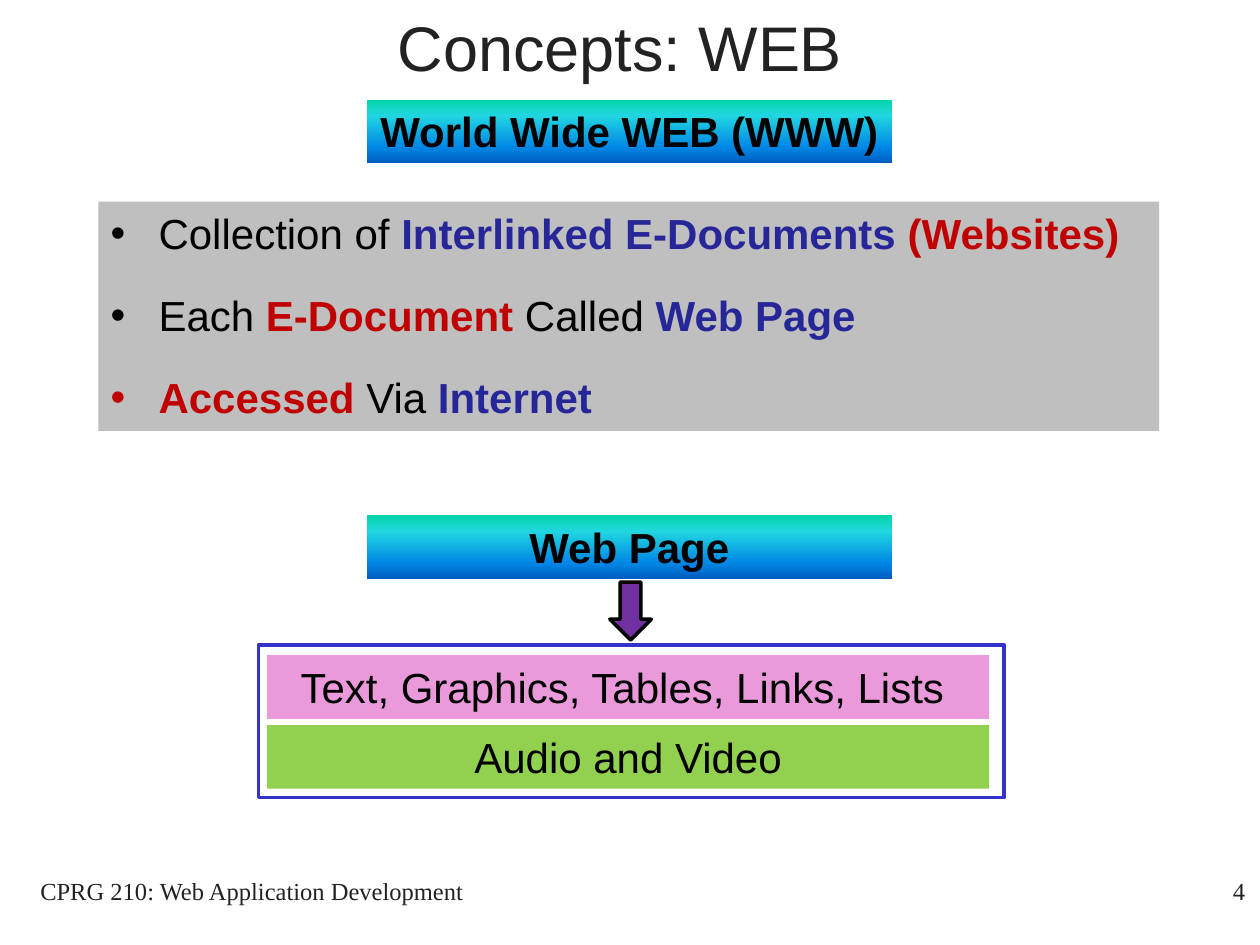
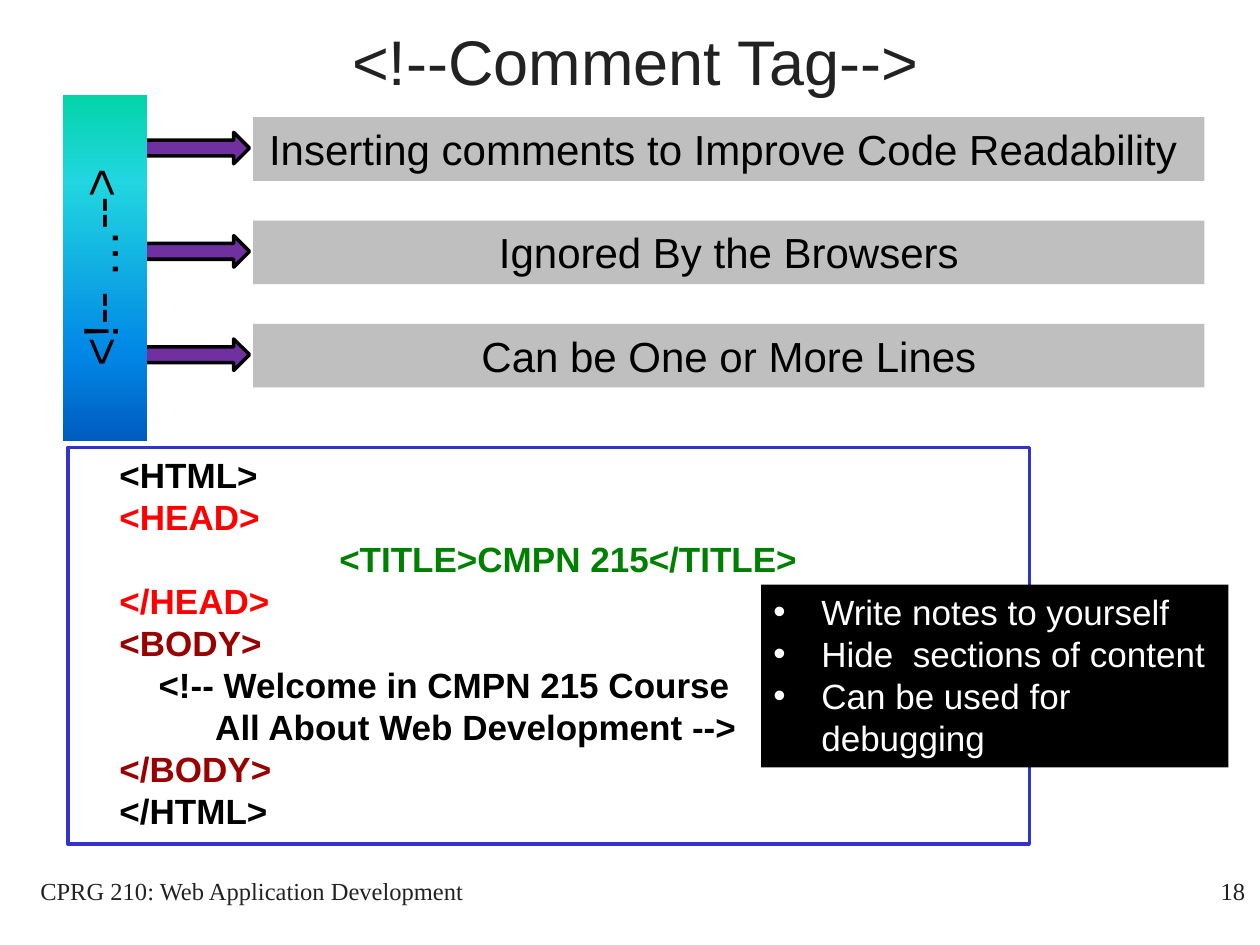
from dataclasses import dataclass, field
from typing import NamedTuple, Optional

from lxml.etree import SubElement
from pptx import Presentation
from pptx.dml.color import RGBColor
from pptx.enum.shapes import MSO_SHAPE
from pptx.enum.text import MSO_ANCHOR, PP_ALIGN
from pptx.oxml.ns import qn
from pptx.util import Emu, Inches, Pt

COLORS = {
    "title": "222222", "black": "000000", "white": "FFFFFF", "grey": "BFBFBF",
    "navy": "262699", "crimson": "C00000", "pink": "EA9ADB", "lime": "92D050",
    "frame": "3333CC", "purple": "7030A0", "red": "FF0000", "green": "008000",
    "maroon": "990000",
}
HEADING_STOPS = {0: "03D4A8", 25: "21D6E0", 75: "0087E6", 100: "005CBF"}
GRADIENT = "gradient"
UNIT = Inches(0.1)  # the slide is a grid of 100 columns and 75 rows
COLUMNS, ROWS = 100, 75
LINE_HEIGHT = 1.2
FOOTER = "CPRG 210: Web Application Development"


class Cell(NamedTuple):
    col: float
    row: float
    cols: float
    rows: float

    def emu(self) -> list[Emu]:
        return [Emu(round(v * UNIT)) for v in self]


class Run(NamedTuple):
    text: str
    color: str = "black"
    bold: bool = False


@dataclass
class Para:
    runs: list[Run]
    align: PP_ALIGN = PP_ALIGN.CENTER
    margin: float = 0
    bullet: bool = False
    after: float = 0


@dataclass
class Box:
    cell: Cell
    paras: list[Para] = field(default_factory=list)
    fill: Optional[str] = None
    line: Optional[str] = None
    size: float = 24
    font: str = "Arial"
    anchor: MSO_ANCHOR = MSO_ANCHOR.TOP
    shape: MSO_SHAPE = MSO_SHAPE.RECTANGLE
    upward: bool = False


def rgb(name: str) -> RGBColor:
    return RGBColor.from_string(COLORS[name])


def set_all(target, values: dict) -> None:
    for name, value in values.items():
        setattr(target, name, value)


def fill_gradient(sp) -> None:
    sp.fill.gradient()
    sp.fill.gradient_angle = 270
    stops = sp._element.spPr.find(qn("a:gradFill")).find(qn("a:gsLst"))
    for old in list(stops):
        stops.remove(old)
    for pos, color in HEADING_STOPS.items():
        stop = SubElement(stops, qn("a:gs"), pos=str(pos * 1000))
        SubElement(stop, qn("a:srgbClr"), val=color)


def paint(sp, box: Box) -> None:
    sp.shadow.inherit = False
    if box.fill == GRADIENT:
        fill_gradient(sp)
    elif box.fill:
        sp.fill.solid()
        sp.fill.fore_color.rgb = rgb(box.fill)
    else:
        sp.fill.background()
    if box.line:
        sp.line.color.rgb = rgb(box.line)
        sp.line.width = Pt(2)
    else:
        sp.line.fill.background()


def indent(p, para: Para) -> None:
    """Set the left margin; a bullet hangs back to the edge of the text."""
    pPr = p._p.get_or_add_pPr()
    margin = Inches(para.margin)
    pPr.set("marL", str(margin))
    pPr.set("indent", str(-margin if para.bullet else 0))
    if para.bullet:
        SubElement(pPr, qn("a:buFont"), typeface="Arial")
        SubElement(pPr, qn("a:buChar"), char="•")


def write(tf, box: Box) -> None:
    set_all(tf, {"word_wrap": True, "vertical_anchor": box.anchor})
    if box.upward:
        tf._txBody.bodyPr.set("vert", "vert270")
    for i, para in enumerate(box.paras):
        p = tf.add_paragraph() if i else tf.paragraphs[0]
        set_all(p, {"alignment": para.align, "space_after": Pt(para.after),
                    "line_spacing": Pt(box.size * LINE_HEIGHT)})
        indent(p, para)
        for run in para.runs:
            r = p.add_run()
            r.text = run.text
            set_all(r.font, {"name": box.font, "size": Pt(box.size), "bold": run.bold})
            r.font.color.rgb = rgb(run.color)


def draw(s, box: Box) -> None:
    if box.fill or box.line:
        sp = s.shapes.add_shape(box.shape, *box.cell.emu())
        paint(sp, box)
    else:
        sp = s.shapes.add_textbox(*box.cell.emu())
    if box.paras:
        write(sp.text_frame, box)


def label(cell: Cell, text: str, fill: str, bold: bool = False, **style) -> Box:
    return Box(cell, [Para([Run(text, bold=bold)])], fill, **style)


def arrow(cell: Cell, shape: MSO_SHAPE) -> Box:
    return Box(cell, fill="purple", line="black", shape=shape)


def bullets(lines: list[list[Run]], after: float = 0) -> list[Para]:
    return [Para(runs, PP_ALIGN.LEFT, 0.38, True, after) for runs in lines]


def code_line(text: str, color: str = "black", margin: float = 0.31,
              align: PP_ALIGN = PP_ALIGN.LEFT) -> Para:
    return Para([Run(text, color, True)], align, margin)


def add_slide(prs, title: str, title_cell: Cell, number: int, boxes: list[Box]) -> None:
    s = prs.slides.add_slide(prs.slide_layouts[6])
    footer_style = {"size": 14, "font": "Times New Roman"}
    furniture = [
        Box(title_cell, [Para([Run(title, "title")])], size=36, anchor=MSO_ANCHOR.MIDDLE),
        Box(Cell(79, 69, 20.8, 5), [Para([Run(str(number), "title")], PP_ALIGN.RIGHT)],
            **footer_style),
        Box(Cell(0, 69, 40, 5), [Para([Run(FOOTER, "title")])], **footer_style),
    ]
    for box in furniture + boxes:
        draw(s, box)


def web_boxes() -> list[Box]:
    headings = [
        label(Cell(29.1, row, 41.7, 5.05), text, GRADIENT, bold=True)
        for row, text in ((7.9, "World Wide WEB (WWW)"), (40.9, "Web Page"))
    ]
    contents = [
        label(Cell(21.2, 52 + 5.55 * i, 57.3, 5.05), text, fill)
        for i, (text, fill) in enumerate((
            ("Text, Graphics, Tables, Links, Lists ", "pink"),
            ("Audio and Video", "lime")))
    ]
    facts = [
        [Run("Collection of "), Run("Interlinked E-Documents ", "navy", True),
         Run("(Websites)", "crimson", True)],
        [Run("Each "), Run("E-Document", "crimson", True), Run(" Called "),
         Run("Web Page", "navy", True)],
        [Run("Accessed", "crimson", True), Run(" Via "), Run("Internet", "navy", True)],
    ]
    return headings + contents + [
        Box(Cell(7.8, 16, 84.2, 18.2), bullets(facts, after=18), "grey"),
        Box(Cell(20.5, 51.2, 59.2, 12.1), line="frame"),
        arrow(Cell(48.4, 46.2, 3.3, 4.6), MSO_SHAPE.DOWN_ARROW),
    ]


def comment_boxes() -> list[Box]:
    code = [
        code_line("<HTML>"),
        code_line("<HEAD>", "red"),
        code_line("<TITLE>CMPN 215</TITLE>", "green", align=PP_ALIGN.CENTER),
        code_line("</HEAD>", "red"),
        code_line("<BODY>", "maroon"),
        code_line("<!-- Welcome in CMPN 215 Course", margin=0.62),
        code_line("All About Web Development -->", margin=1.07),
        code_line("</BODY>", "maroon"),
        code_line("</HTML>"),
    ]
    purposes = ["Inserting comments to Improve Code Readability ",
                "Ignored By the Browsers", "Can be One or More Lines"]
    rows = [9.3 + 8.2 * i for i in range(len(purposes))]
    uses = ["Write notes to yourself", "Hide  sections of content",
            "Can be used for debugging"]
    return [
        Box(Cell(5.4, 35.5, 76.3, 31.5), code, line="frame", size=20),
        *(arrow(Cell(10.6, row + 1.2, 9.2, 2.5), MSO_SHAPE.RIGHT_ARROW) for row in rows),
        label(Cell(5, 7.5, 6.7, 27.5), "<!-- …-->", GRADIENT, size=28, upward=True),
        *(label(Cell(20.1, row, 75.5, 5.05), text, "grey")
          for row, text in zip(rows, purposes)),
        Box(Cell(60.4, 46.4, 37.1, 14.5), bullets([[Run(use, "white")] for use in uses]),
            "black", size=20),
    ]


def main() -> None:
    prs = Presentation()
    prs.slide_width, prs.slide_height = COLUMNS * UNIT, ROWS * UNIT
    add_slide(prs, "Concepts: WEB ", Cell(0, -2.6, 99.8, 12.5), 4, web_boxes())
    add_slide(prs, "<!--Comment Tag-->", Cell(2.5, -1.5, 95.8, 12.5), 18, comment_boxes())
    prs.save("out.pptx")


if __name__ == "__main__":
    main()
